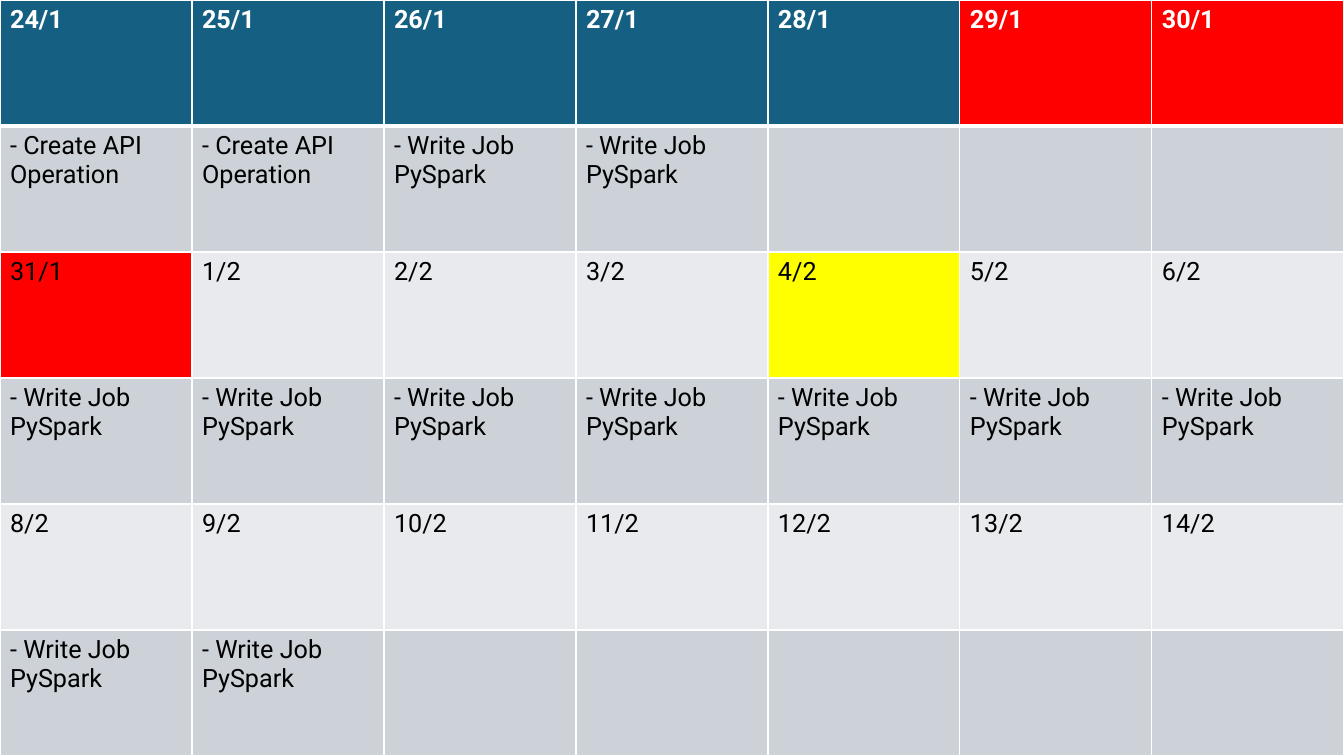
from dataclasses import dataclass

from lxml import etree
from pptx import Presentation
from pptx.dml.color import RGBColor
from pptx.oxml.ns import qn
from pptx.table import _Cell
from pptx.util import Cm, Pt

PAGE_WIDTH, PAGE_HEIGHT = Cm(33.87), Cm(19.05)
BLANK_LAYOUT = 6
DAYS_PER_WEEK = 7
FONT = "Roboto"
COLORS = {
    "header": "156082",
    "task": "CCD2D8",
    "date": "E8EAED",
    "day_off": "FF0000",
    "highlight": "FFFF00",
    "white": "FFFFFF",
    "black": "000000",
}
CREATE_API = "- Create API Operation"
WRITE_JOB = "- Write Job PySpark"


@dataclass(frozen=True)
class Week:
    dates: list[str]
    tasks: list[str]


WEEKS = [
    Week(["24/1", "25/1", "26/1", "27/1", "28/1", "29/1", "30/1"],
         [CREATE_API] * 2 + [WRITE_JOB] * 2),
    Week(["31/1", "1/2", "2/2", "3/2", "4/2", "5/2", "6/2"],
         [WRITE_JOB] * DAYS_PER_WEEK),
    Week(["8/2", "9/2", "10/2", "11/2", "12/2", "13/2", "14/2"],
         [WRITE_JOB] * 2),
]
SPECIAL_DATES = {
    "29/1": "day_off",
    "30/1": "day_off",
    "31/1": "day_off",
    "4/2": "highlight",
}


def set_borders(cell: _Cell, top: float = 1, bottom: float = 1) -> None:
    properties = cell._tc.get_or_add_tcPr()
    widths = {"a:lnL": 1, "a:lnR": 1, "a:lnT": top, "a:lnB": bottom}
    for tag, width in widths.items():
        line = etree.SubElement(properties, qn(tag), w=str(Pt(width)))
        fill = etree.SubElement(line, qn("a:solidFill"))
        etree.SubElement(fill, qn("a:srgbClr"), val=COLORS["white"])


def write_text(cell: _Cell, text: str, *, color: str = "black",
               bold: bool = False, size: float = 18) -> None:
    span = cell.text_frame.paragraphs[0].add_run()
    span.text = text
    span.font.name = FONT
    span.font.size = Pt(size)
    span.font.bold = bold
    span.font.color.rgb = RGBColor.from_string(COLORS[color])


def draw_cell(cell: _Cell, text: str, fill: str, is_header: bool,
              top: float, bottom: float) -> None:
    set_borders(cell, top, bottom)
    cell.fill.solid()
    cell.fill.fore_color.rgb = RGBColor.from_string(COLORS[fill])
    if text:
        write_text(cell, text, color="white" if is_header else "black",
                   bold=is_header)


def main() -> None:
    deck = Presentation()
    deck.slide_width, deck.slide_height = PAGE_WIDTH, PAGE_HEIGHT
    page = deck.slides.add_slide(deck.slide_layouts[BLANK_LAYOUT])

    # Calendar grid: a date row and a task row for each week
    calendar = page.shapes.add_table(2 * len(WEEKS), DAYS_PER_WEEK, 0, 0,
                                     PAGE_WIDTH, PAGE_HEIGHT).table

    for index, week in enumerate(WEEKS):
        is_header = index == 0
        rule = 3 if is_header else 1
        date_fill = "header" if is_header else "date"
        for day, date in enumerate(week.dates):
            # Date
            draw_cell(calendar.cell(2 * index, day), date,
                      SPECIAL_DATES.get(date, date_fill), is_header, 1, rule)
            # Task below it
            task = week.tasks[day] if day < len(week.tasks) else ""
            draw_cell(calendar.cell(2 * index + 1, day), task,
                      "task", False, rule, 1)

    deck.save("out.pptx")


if __name__ == "__main__":
    main()
